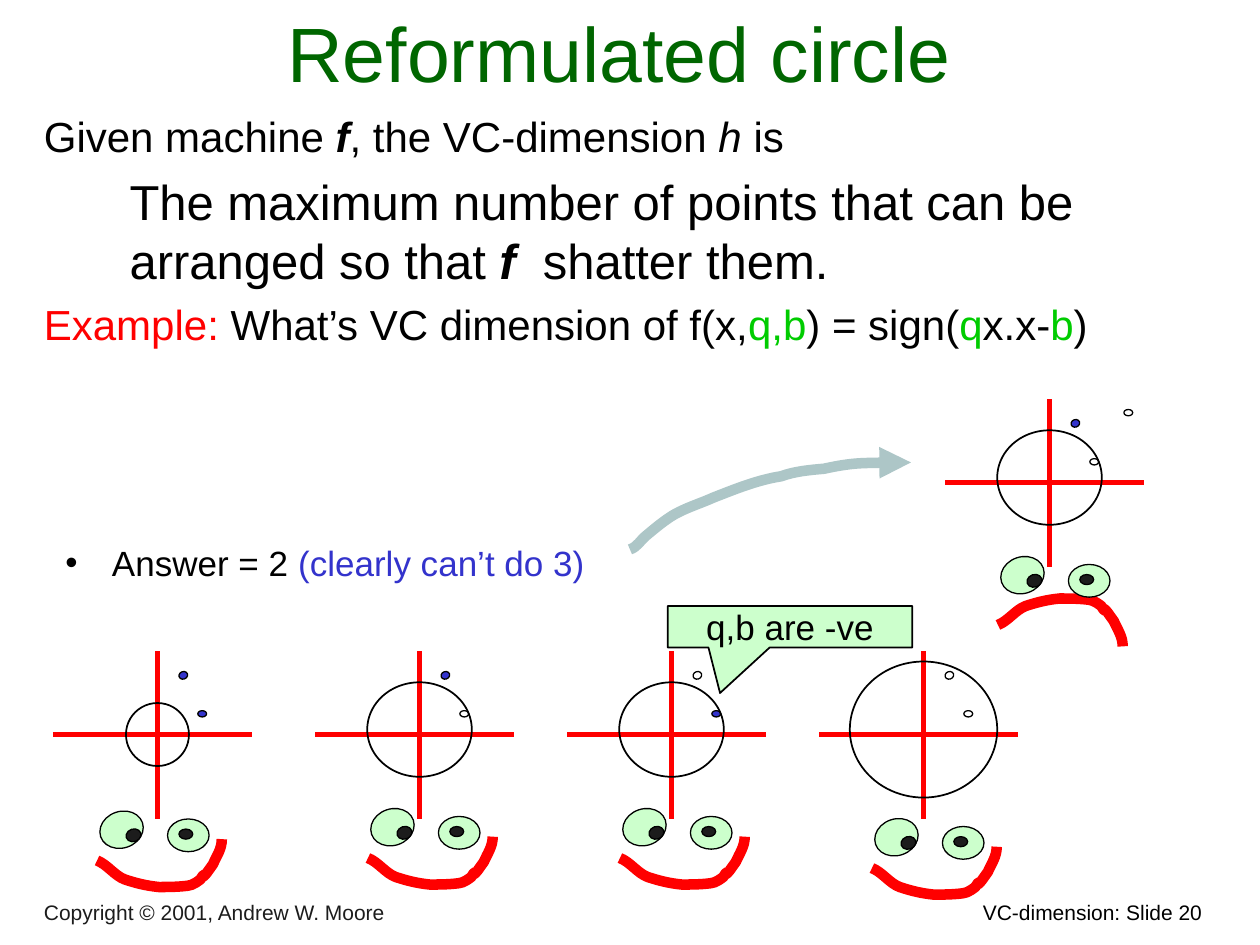
from pptx import Presentation
from pptx.dml.color import RGBColor
from pptx.enum.shapes import MSO_CONNECTOR, MSO_SHAPE
from pptx.enum.text import MSO_ANCHOR, PP_ALIGN
from pptx.util import Inches, Pt
from lxml.etree import SubElement
from pptx.oxml.ns import qn


class Theme:
    font = "Arial"
    black, white, ink = "000000", "FFFFFF", "1C1C1C"
    title, red, blue = "006600", "FF0000", "3333CC"
    green, mint, arrow = "00CC00", "CCFFCC", "ADC6C7"
    head, big, body, note, foot = 44, 28, 24, 20, 12


T = Theme

# Content: a run is (text, colour, style), style being any of "b" and "i"
TITLE = [("Reformulated circle", T.title, "")]
# Body: size, left indent, first-line indent, space before, runs
BODY = [
    (T.body, 0.38, -0.38, 0, [("Given machine ", T.black, ""), ("f", T.black, "bi"),
                              (", the VC-dimension ", T.black, ""),
                              ("h", T.black, "i"), (" is", T.black, "")]),
    (T.big, 0.68, 0, 6, [("The maximum number of points that can be arranged so that ",
                          T.black, ""),
                         ("f", T.black, "bi"), ("  shatter them.", T.black, "")]),
    (T.body, 0.38, -0.38, 5, [("Example: ", T.red, ""),
                              ("What’s VC dimension of f(x,", T.black, ""),
                              ("q,b", T.green, ""), (") = sign(", T.black, ""),
                              ("q", T.green, ""), ("x.x-", T.black, ""),
                              ("b", T.green, ""), (")", T.black, "")]),
]
ANSWER = [("Answer = 2 ", T.black, ""), ("(clearly can’t do 3)", T.blue, "")]
CALLOUT = [("q,b are -ve", T.black, "")]
CREDIT = [("Copyright © 2001, Andrew W. Moore", T.ink, "")]
NUMBER = [("VC-dimension: Slide 20", T.black, "")]

# Plots: axis centre, circle size and lift, upper and lower dot, face corner, mood
MID = (0.83, 0.75, 0.04)
PLOTS = [
    (1.25, 5.83, (0.5, 0.5, 0), T.blue, T.blue, (0.79, 6.44), "smile"),
    (3.33, 5.83, MID, T.blue, T.white, (2.94, 6.42), "smile"),
    (5.33, 5.83, MID, T.white, T.blue, (4.94, 6.42), "smile"),
    (7.33, 5.83, (1.17, 1.08, 0.04), T.white, T.white, (6.94, 6.5), "smile"),
    (8.33, 3.83, MID, T.blue, T.white, (7.94, 4.42), "frown"),
]

# Curves: a start point, then three points for each Bezier piece
SMILE = [(-0.02, 0.39), (0.06, 0.42), (0.12, 0.51), (0.2, 0.54),
         (0.29, 0.57), (0.37, 0.59), (0.47, 0.6),
         (0.54, 0.6), (0.62, 0.6), (0.7, 0.59),
         (0.74, 0.59), (0.8, 0.54), (0.8, 0.54),
         (0.86, 0.45), (0.78, 0.57), (0.85, 0.49),
         (0.87, 0.47), (0.88, 0.44), (0.9, 0.42),
         (0.93, 0.35), (0.97, 0.3), (0.97, 0.22)]
FLIP = 0.93  # a frown is the smile mirrored within this height
SWOOP = [(5, 4.36), (5.06, 4.34), (5.08, 4.29), (5.13, 4.25),
         (5.19, 4.2), (5.25, 4.15), (5.31, 4.11),
         (5.41, 4.04), (5.55, 4), (5.66, 3.95),
         (5.84, 3.88), (6.01, 3.81), (6.2, 3.78),
         (6.31, 3.74), (6.43, 3.73), (6.54, 3.72),
         (6.77, 3.67), (7.01, 3.67), (7.23, 3.67)]

deck = Presentation()
deck.slide_width, deck.slide_height = Inches(10), Inches(7.5)
slide = deck.slides.add_slide(deck.slide_layouts[5])
parts = slide.shapes


def rgb(code):
    return RGBColor.from_string(code)


def write(para, runs, size, align=PP_ALIGN.LEFT):
    para.alignment = align
    for text, tint, style in runs:
        run = para.add_run()
        run.text = text
        font = run.font
        font.name, font.size = T.font, Pt(size)
        font.bold, font.italic = "b" in style, "i" in style
        font.color.rgb = rgb(tint)


def indent(para, left, first):
    props = para._p.get_or_add_pPr()
    props.set("marL", str(Inches(left)))
    props.set("indent", str(Inches(first)))
    return props


def box(x, y, w, h, anchor=MSO_ANCHOR.TOP):
    frame = parts.add_textbox(Inches(x), Inches(y), Inches(w), Inches(h)).text_frame
    frame.word_wrap = True
    frame.vertical_anchor = anchor
    return frame


def paint(shape, fill, line, width):
    shape.shadow.inherit = False
    if fill:
        shape.fill.solid()
        shape.fill.fore_color.rgb = rgb(fill)
    else:
        shape.fill.background()
    shape.line.color.rgb = rgb(line)
    shape.line.width = Pt(width)
    return shape


def oval(x, y, w, h, fill=None, turn=0, width=0.75):
    shape = parts.add_shape(MSO_SHAPE.OVAL, Inches(x), Inches(y), Inches(w), Inches(h))
    shape.rotation = turn
    paint(shape, fill, T.black, width)


def axis(x1, y1, x2, y2):
    line = parts.add_connector(MSO_CONNECTOR.STRAIGHT, Inches(x1), Inches(y1),
                               Inches(x2), Inches(y2))
    line.line.color.rgb = rgb(T.red)
    line.line.width = Pt(3)
    SubElement(line._element.spPr, qn("a:effectLst"))


def curve(pts, tint):
    start, *rest = [(Inches(x), Inches(y)) for x, y in pts]
    pen = parts.build_freeform(*start)
    pen.add_line_segments(rest, close=False)
    shape = pen.convert_to_shape()
    # Join each three straight pieces into one Bezier piece
    legs = list(shape._element.iter(qn("a:lnTo")))
    track = legs[0].getparent()
    for k in range(0, len(legs), 3):
        bend = SubElement(track, qn("a:cubicBezTo"))
        for leg in legs[k:k + 3]:
            bend.append(leg[0])
            track.remove(leg)
    return paint(shape, None, tint, 6)


def face(x, y, mood):
    curve([(x + a, y + (b if mood == "smile" else FLIP - b)) for a, b in SMILE], T.red)
    oval(x + 0.54, y + 0.06, 0.33, 0.26, T.mint)
    oval(x, y, 0.35, 0.29, T.mint, 341.4)
    oval(x + 0.63, y + 0.14, 0.11, 0.08, T.ink)
    oval(x + 0.21, y + 0.14, 0.12, 0.1, T.ink, 341.4)


# Title
head = parts.title
head.left, head.top, head.width, head.height = map(Inches, (0.25, 0.08, 9.33, 0.75))
head.text_frame.vertical_anchor = MSO_ANCHOR.BOTTOM
write(head.text_frame.paragraphs[0], TITLE, T.head, PP_ALIGN.CENTER)

# Definition and example
frame = box(0.25, 0.83, 9.38, 2.5)
for n, (size, left, first, gap, runs) in enumerate(BODY):
    para = frame.add_paragraph() if n else frame.paragraphs[0]
    indent(para, left, first)
    para.space_before = Pt(gap)
    write(para, runs, size)

# Answer
para = box(0.42, 4.25, 9.38, 0.5).paragraphs[0]
props = indent(para, 0.37, -0.37)
SubElement(props, qn("a:buFont")).set("typeface", T.font)
SubElement(props, qn("a:buChar")).set("char", "•")
write(para, ANSWER, T.note)

# Footer
write(box(0.25, 7.11, 5.55, 0.28, MSO_ANCHOR.BOTTOM).paragraphs[0], CREDIT, T.foot)
write(box(5.72, 7.09, 3.92, 0.3).paragraphs[0], NUMBER, T.foot, PP_ALIGN.RIGHT)

# Plots with their faces
for x, y, (w, h, lift), high, low, spot, mood in PLOTS:
    axis(x, y - 0.66, x, y + 0.67)
    axis(x - 0.83, y, x + 0.75, y)
    oval(x + 0.32, y - 0.19, 0.07, 0.05, low)
    oval(x + 0.17, y - 0.5, 0.07, 0.06, high, 341.4)
    oval(x - w / 2, y - lift - h / 2, w, h, width=1)
    face(*spot, mood)
oval(8.92, 3.25, 0.07, 0.05, T.white)  # third point

# Callout
note = parts.add_shape(MSO_SHAPE.RECTANGULAR_CALLOUT, Inches(5.3), Inches(4.81),
                       Inches(1.94), Inches(0.33))
note.adjustments[0], note.adjustments[1] = -0.286, 1.594
paint(note, T.mint, T.black, 1)
note.text_frame.vertical_anchor = MSO_ANCHOR.MIDDLE
write(note.text_frame.paragraphs[0], CALLOUT, T.note, PP_ALIGN.CENTER)

# Arrow to the failing case
swoop = curve(SWOOP, T.arrow)
SubElement(swoop.line._get_or_add_ln(), qn("a:tailEnd")).set("type", "triangle")

deck.save("out.pptx")
